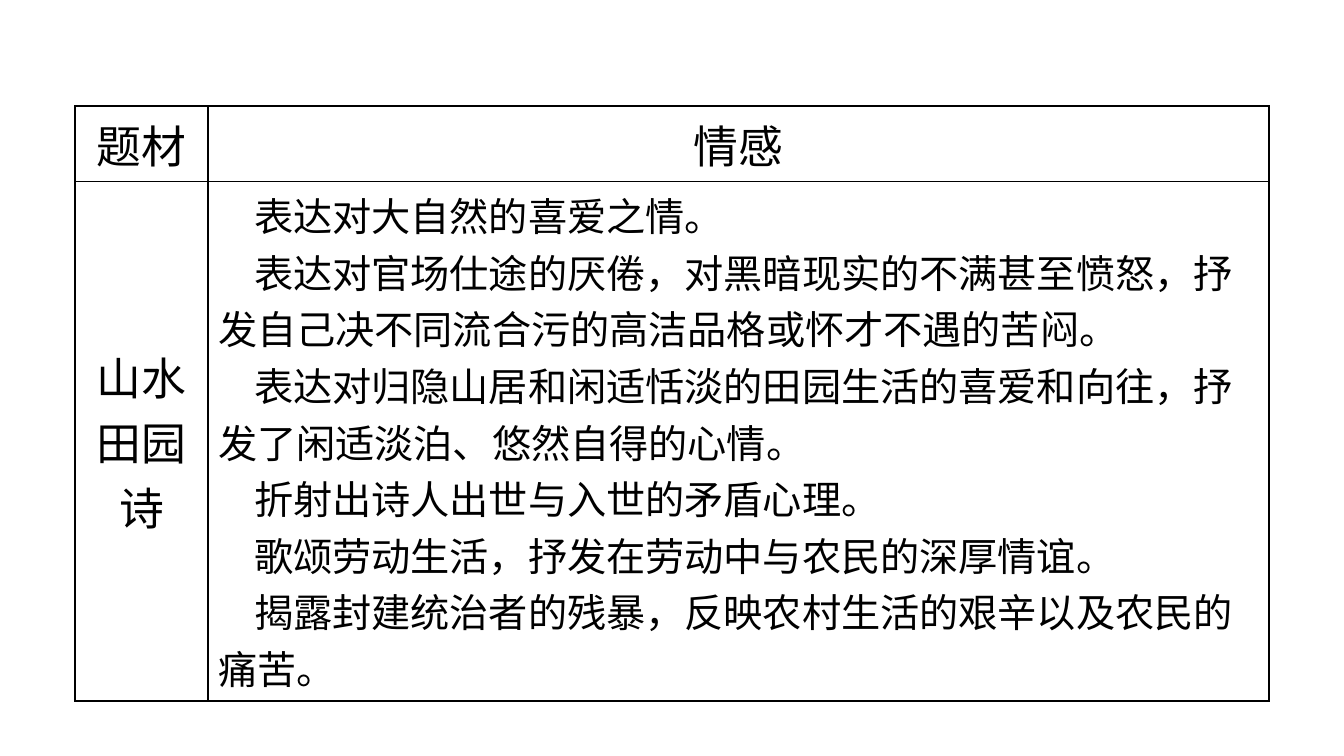
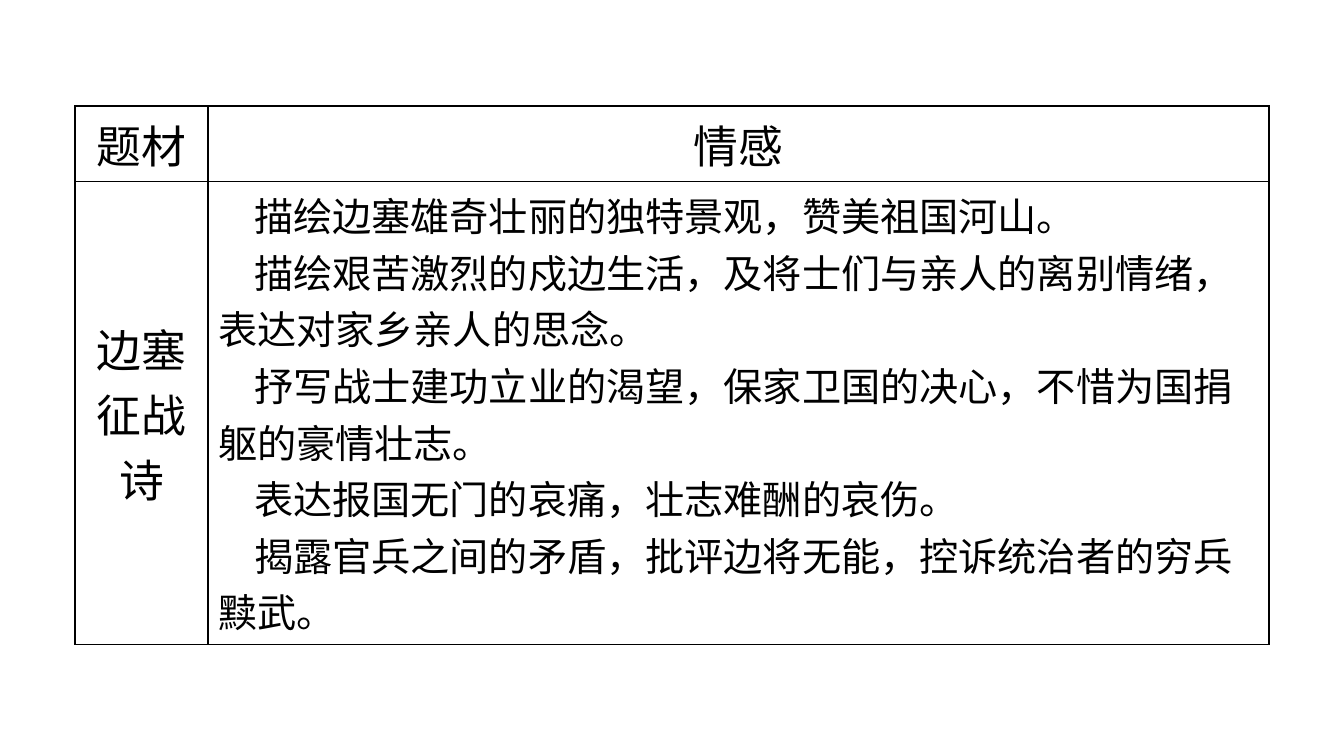
from lxml.etree import SubElement
from pptx import Presentation
from pptx.dml.color import RGBColor
from pptx.enum.text import MSO_ANCHOR, PP_ALIGN
from pptx.oxml.ns import qn
from pptx.util import Pt

PX = 914400 / 100.8
FONT = "Calibri"
BLACK = "000000"
LABEL_SIZE, BODY_SIZE = 32, 28
TABLE_LEFT, TABLE_TOP = 75, 106
COLUMN_WIDTHS = (133, 1061)
HEADER_HEIGHT = 75
FIRST_LINE_INDENT = 36
HEADERS = ("题材", "情感")

# Each topic: its name, the height of its row, its feelings
TOPICS = [
    ("山水田园诗", 519, [
        "表达对大自然的喜爱之情。",
        "表达对官场仕途的厌倦，对黑暗现实的不满甚至愤怒，抒发自己决不同流合污的高洁品格或怀才不遇的苦闷。",
        "表达对归隐山居和闲适恬淡的田园生活的喜爱和向往，抒发了闲适淡泊、悠然自得的心情。",
        "折射出诗人出世与入世的矛盾心理。",
        "歌颂劳动生活，抒发在劳动中与农民的深厚情谊。",
        "揭露封建统治者的残暴，反映农村生活的艰辛以及农民的痛苦。",
    ]),
    ("边塞征战诗", 463, [
        "描绘边塞雄奇壮丽的独特景观，赞美祖国河山。",
        "描绘艰苦激烈的戍边生活，及将士们与亲人的离别情绪，表达对家乡亲人的思念。",
        "抒写战士建功立业的渴望，保家卫国的决心，不惜为国捐躯的豪情壮志。",
        "表达报国无门的哀痛，壮志难酬的哀伤。",
        "揭露官兵之间的矛盾，批评边将无能，控诉统治者的穷兵黩武。",
    ]),
]


def px(length):
    return round(length * PX)


def fill_cell(cell, lines, size, centred):
    """Write one paragraph per line and draw a thin border round the cell."""
    cell.vertical_anchor = MSO_ANCHOR.MIDDLE
    cell.text_frame.text = "\n".join(lines)
    for para in cell.text_frame.paragraphs:
        if centred:
            para.alignment = PP_ALIGN.CENTER
        else:
            para.alignment = PP_ALIGN.LEFT
            para._p.get_or_add_pPr().set("indent", str(px(FIRST_LINE_INDENT)))
        for span in para.runs:
            span.font.name = FONT
            span.font.size = Pt(size)
            span.font.color.rgb = RGBColor.from_string(BLACK)
    properties = cell._tc.get_or_add_tcPr()
    for side in ("a:lnL", "a:lnR", "a:lnT", "a:lnB"):
        border = SubElement(properties, qn(side), w=str(Pt(1)))
        paint = SubElement(border, qn("a:solidFill"))
        SubElement(paint, qn("a:srgbClr"), val=BLACK)
    cell.fill.background()


deck = Presentation()
deck.slide_width, deck.slide_height = px(1344), px(756)
blank_layout = deck.slide_layouts[6]

for topic, body_height, feelings in TOPICS:
    page = deck.slides.add_slide(blank_layout)
    row_heights = (HEADER_HEIGHT, body_height)
    table = page.shapes.add_table(
        2, 2, px(TABLE_LEFT), px(TABLE_TOP),
        px(sum(COLUMN_WIDTHS)), px(sum(row_heights))).table
    table.first_row = table.horz_banding = False
    for column, width in zip(table.columns, COLUMN_WIDTHS):
        column.width = px(width)
    for row, height in zip(table.rows, row_heights):
        row.height = px(height)

    for index, header in enumerate(HEADERS):
        fill_cell(table.cell(0, index), [header], LABEL_SIZE, True)
    fill_cell(table.cell(1, 0), [topic], LABEL_SIZE, True)
    fill_cell(table.cell(1, 1), feelings, BODY_SIZE, False)

deck.save("out.pptx")
